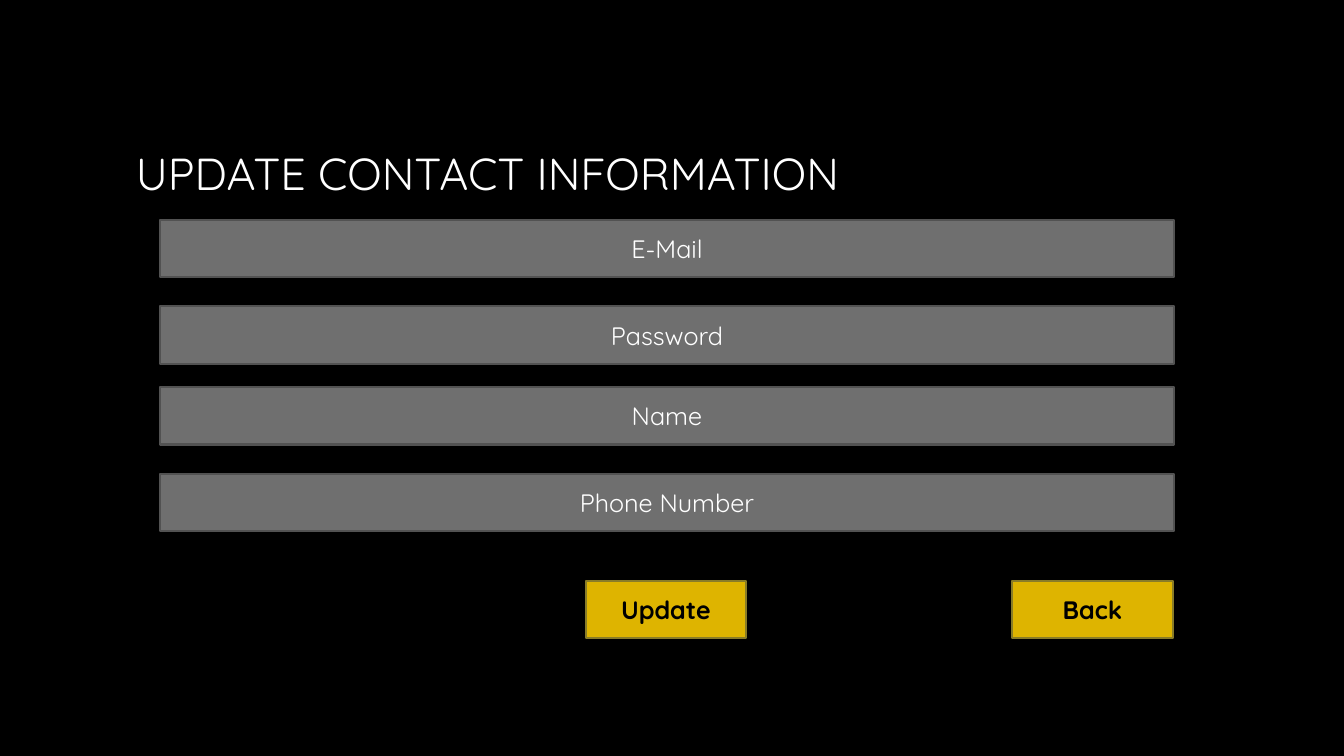
"""Build the contact information update form slide."""
from dataclasses import dataclass

from pptx import Presentation
from pptx.dml.color import RGBColor
from pptx.enum import shapes, text
from pptx.slide import Slide
from pptx.text.text import TextFrame
from pptx.util import Inches, Pt


@dataclass(frozen=True)
class Theme:
    """Colours, font and type sizes of the form."""
    font: str = "Quicksand"
    background: str = "000000"
    light: str = "FFFFFF"
    dark: str = "000000"
    field_fill: str = "6F6F6F"
    field_line: str = "525252"
    button_fill: str = "DEB400"
    button_line: str = "897C27"
    title_size: float = 32
    label_size: float = 18
    line_width: float = 1.5


@dataclass(frozen=True)
class Style:
    """Look shared by boxes of one kind."""
    width: float
    fill: str
    line: str
    color: str
    bold: bool


@dataclass(frozen=True)
class Box:
    """A labelled rectangle of the form."""
    label: str
    left: float
    top: float
    style: Style


THEME = Theme()
BOX_HEIGHT = 0.57
FIELD_LEFT = 1.59
BUTTON_TOP = 5.76
FIELD = Style(10.05, THEME.field_fill, THEME.field_line, THEME.light, False)
BUTTON = Style(1.59, THEME.button_fill, THEME.button_line, THEME.dark, True)
BOXES = [
    Box("E-Mail", FIELD_LEFT, 2.18, FIELD),
    Box("Password", FIELD_LEFT, 3.04, FIELD),
    Box("Name", FIELD_LEFT, 3.84, FIELD),
    Box("Phone Number", FIELD_LEFT, 4.7, FIELD),
    Box("Update", 5.81, BUTTON_TOP, BUTTON),
    Box("Back", 10.04, BUTTON_TOP, BUTTON),
]


def write(tf: TextFrame, words: str, size: float, color: str,
          align: text.PP_ALIGN, bold: bool = False) -> None:
    """Write one formatted line into a text frame."""
    tf.word_wrap = True
    tf.vertical_anchor = text.MSO_ANCHOR.MIDDLE
    p = tf.paragraphs[0]
    p.alignment = align
    r = p.add_run()
    r.text = words
    formats = {"name": THEME.font, "size": Pt(size), "bold": bold}
    for name, value in formats.items():
        setattr(r.font, name, value)
    r.font.color.rgb = RGBColor.from_string(color)


def add_title(s: Slide, words: str) -> None:
    """Add the slide heading."""
    sp = s.shapes.add_textbox(Inches(1.25), Inches(0.67), Inches(10.83), Inches(2.08))
    write(sp.text_frame, words, THEME.title_size, THEME.light, text.PP_ALIGN.LEFT)


def add_box(s: Slide, box: Box) -> None:
    """Add a form field or a button."""
    style = box.style
    sp = s.shapes.add_shape(shapes.MSO_SHAPE.RECTANGLE, Inches(box.left), Inches(box.top),
                            Inches(style.width), Inches(BOX_HEIGHT))
    sp.shadow.inherit = False
    sp.fill.solid()
    sp.fill.fore_color.rgb = RGBColor.from_string(style.fill)
    sp.line.color.rgb = RGBColor.from_string(style.line)
    sp.line.width = Pt(THEME.line_width)
    write(sp.text_frame, box.label, THEME.label_size, style.color,
          text.PP_ALIGN.CENTER, style.bold)


def main() -> None:
    """Build and save the presentation."""
    prs = Presentation()
    prs.slide_width, prs.slide_height = Inches(13.33), Inches(7.5)
    s = prs.slides.add_slide(prs.slide_layouts[6])
    s.background.fill.solid()
    s.background.fill.fore_color.rgb = RGBColor.from_string(THEME.background)
    add_title(s, "UPDATE CONTACT INFORMATION")
    for box in BOXES:
        add_box(s, box)
    prs.save("out.pptx")


if __name__ == "__main__":
    main()
